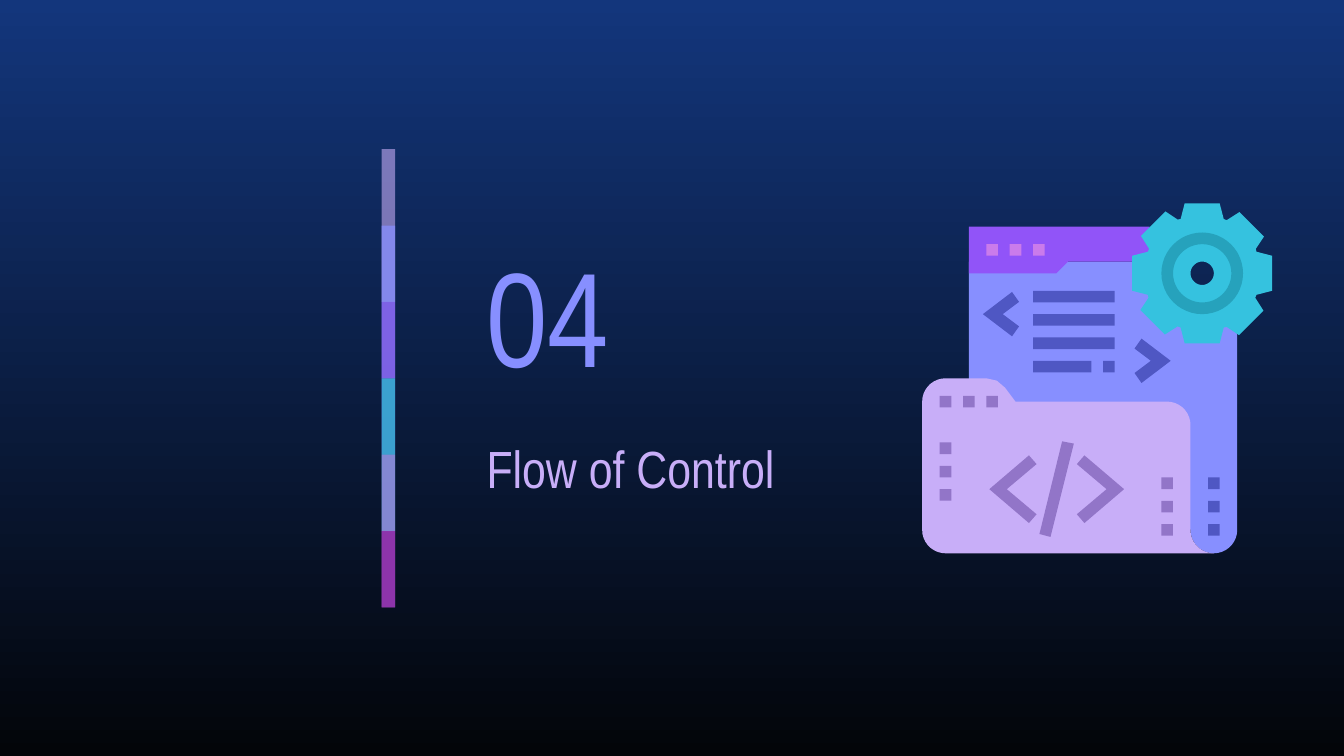
"""Build a section slide: number, heading, colour bar and a code folder icon."""
from math import cos, radians, sin

from lxml.etree import SubElement
from pptx import Presentation
from pptx.dml.color import RGBColor
from pptx.enum.shapes import MSO_SHAPE
from pptx.enum.text import MSO_ANCHOR, MSO_AUTO_SIZE, PP_ALIGN
from pptx.oxml.ns import qn
from pptx.util import Inches, Pt

HUES = {
    "top": "13367C", "base": "030509", "lilac": "C8AEF8", "blue": "878FFF",
    "violet": "9154F8", "cyan": "35C2DF", "teal": "26A2BC", "pink": "CA7BEB",
    "plum": "9275C8", "navy": "4F57C3", "wine": "972CB4",
}
TALL = 10 * 9 / 16


def hue(name):
    """Return a named colour."""
    return RGBColor.from_string(HUES[name])


def write(frame, text, size, color, font="Arial Narrow"):
    """Fill a text frame with one formatted line."""
    frame.text = text
    frame.word_wrap = True
    frame.auto_size = MSO_AUTO_SIZE.NONE
    frame.vertical_anchor = MSO_ANCHOR.MIDDLE
    frame.margin_left = frame.margin_right = Inches(0.1)
    frame.margin_top = frame.margin_bottom = Inches(0.1)
    line = frame.paragraphs[0]
    line.alignment = PP_ALIGN.LEFT
    line.space_before = Pt(0)
    face = line.runs[0].font
    face.name, face.size, face.bold = font, Pt(size), False
    face.color.rgb = hue(color)


def arc(x, y, r, start, end, step=10):
    """List points along an arc, in degrees clockwise from the right."""
    turn = step if end > start else -step
    angles = [radians(a) for a in range(start, end + turn, turn)]
    return [(x + r * cos(a), y + r * sin(a)) for a in angles]


class Page:
    """Draw in shares of the slide, or in cells of the icon grid."""

    def __init__(self, deck):
        """Add a slide with a gradient background."""
        self.wide, self.high = deck.slide_width, deck.slide_height
        self.cell = self.wide / 115.2
        self.slide = deck.slides.add_slide(deck.slide_layouts[0])
        fill = self.slide.background.fill
        fill.gradient()
        fill.gradient_angle = 270
        for stop, name in zip(fill.gradient_stops, ("top", "base")):
            stop.color.rgb = hue(name)

    def share(self, x, y, w, h):
        """Turn shares of the slide into lengths."""
        return [round(v * s) for v, s in zip((x, y, w, h), (self.wide, self.high) * 2)]

    def spot(self, x, y):
        """Turn an icon grid point into a slide position."""
        return round((79.05 + x) * self.cell), round((17.43 + y) * self.cell)

    def paint(self, shape, color, alpha=None):
        """Give a shape a flat fill with no line or shadow."""
        shape.shadow.inherit = False
        shape.line.fill.background()
        shape.fill.solid()
        shape.fill.fore_color.rgb = hue(color)
        if alpha:
            tone = shape.fill._xPr.find(qn("a:solidFill"))[0]
            SubElement(tone, qn("a:alpha"), val=str(alpha * 1000))

    def words(self, index, text, box, size, color):
        """Place and fill a placeholder."""
        holder = self.slide.placeholders[index]
        holder.left, holder.top, holder.width, holder.height = self.share(*box)
        write(holder.text_frame, text, size=size, color=color)

    def bar(self, box, color, alpha):
        """Add a see-through bar sized in shares."""
        rect = self.slide.shapes.add_shape(MSO_SHAPE.RECTANGLE, *self.share(*box))
        self.paint(rect, color, alpha)

    def block(self, x, y, color, w=1, h=1, kind=MSO_SHAPE.RECTANGLE):
        """Add a preset shape on the icon grid."""
        size = round(w * self.cell), round(h * self.cell)
        shape = self.slide.shapes.add_shape(kind, *self.spot(x, y), *size)
        self.paint(shape, color)
        return shape

    def form(self, color, *loops):
        """Add an outline; further loops cut holes."""
        paths = [[self.spot(*p) for p in loop] for loop in loops]
        pen = self.slide.shapes.build_freeform(*paths[0][0])
        pen.add_line_segments(paths[0][1:])
        for path in paths[1:]:
            pen.move_to(*path[0])
            pen.add_line_segments(path[1:])
        self.paint(pen.convert_to_shape(), color)

    def angle(self, x, y, color, arms, side):
        """Add an angle bracket with its tip at a grid point."""
        (far, tall), (end, low), gap = arms
        half = [(0, 0), (far, -tall), (end, -low), (gap, 0), (end, low), (far, tall)]
        self.form(color, [(x + side * a, y + b) for a, b in half])


def icon(page):
    """Draw the window, folder and gear."""
    page.form("blue", [(4, 5), (18, 5), (20, 8), (22, 10), (26, 10), (27, 11.2),
                       *arc(25, 28, 2, 0, 180), (22.5, 27), (22.5, 18), (4, 18)])
    page.form("violet", [(4, 2), (4, 6), (11.5, 6), (12.5, 5), (19.5, 5), (19.5, 2)])
    page.form("lilac", [*arc(2, 28, 2, 180, 90), *arc(25, 28, 2, 90, 180),
                        *arc(21, 19, 2, 0, -90), (8, 17), (7.1, 15.8), (6.4, 15.2),
                        (5.5, 15), *arc(2, 17, 2, -90, -180)])

    teeth, rim = [(-1.5, -6), (1.5, -6), (1.85, -4.65), (2.1, -4.55),
                  (3.2, -5.25), (5.3, -3.15), (4.6, -2.1), (4.65, -1.85)], []
    for _ in range(4):
        rim += [(24 + x, 6 + y) for x, y in teeth]
        teeth = [(-y, x) for x, y in teeth]
    page.form("cyan", rim, arc(24, 6, 1, 0, 360))
    ring = page.block(20.5, 2.5, "teal", w=7, h=7, kind=MSO_SHAPE.DONUT)
    ring.adjustments[0] = 1 / 7

    for i in range(3):
        page.block(5.5 + 2 * i, 3.5, "pink")
        page.block(1.5 + 2 * i, 16.5, "plum")
        page.block(1.5, 20.5 + 2 * i, "plum")
        page.block(20.5, 23.5 + 2 * i, "plum")
        page.block(24.5, 23.5 + 2 * i, "navy")
        page.block(9.5, 7.5 + 2 * i, "navy", w=7)
    page.block(9.5, 13.5, "navy", w=5)
    page.block(15.5, 13.5, "navy")

    small = (2.5, 1.9), (3.1, 1.05), 1.7
    large = (3.4, 2.9), (4.05, 2.15), 1.5
    page.angle(5.2, 9.5, "navy", small, 1)
    page.angle(21.3, 13.5, "navy", small, -1)
    page.angle(5.75, 24.5, "plum", large, 1)
    page.angle(17.3, 24.5, "plum", large, -1)
    page.form("plum", [(12, 20.4), (10.05, 28.35), (11, 28.6), (13, 20.6)])


def main():
    """Build and save the deck."""
    deck = Presentation()
    deck.slide_width, deck.slide_height = Inches(10), Inches(TALL)
    page = Page(deck)
    page.words(0, "04", (0.352, 1.66 / TALL, 0.175, 1.35 / TALL), 72, "blue")
    page.words(1, "Flow of Control", (0.352, 3 / TALL, 0.287, 0.96 / TALL), 28, "lilac")
    icon(page)
    tones = [("lilac", 59), ("blue", 74), ("violet", 53),
             ("cyan", 76), ("pink", 56), ("wine", 74)]
    top, step = 1.11 / TALL, 3.41 / TALL / len(tones)
    for i, (name, alpha) in enumerate(tones):
        tall = step if i == len(tones) - 1 else 2 * step
        page.bar((0.284, top + i * step, 0.01, tall), name, alpha)
    deck.save("out.pptx")


if __name__ == "__main__":
    main()
